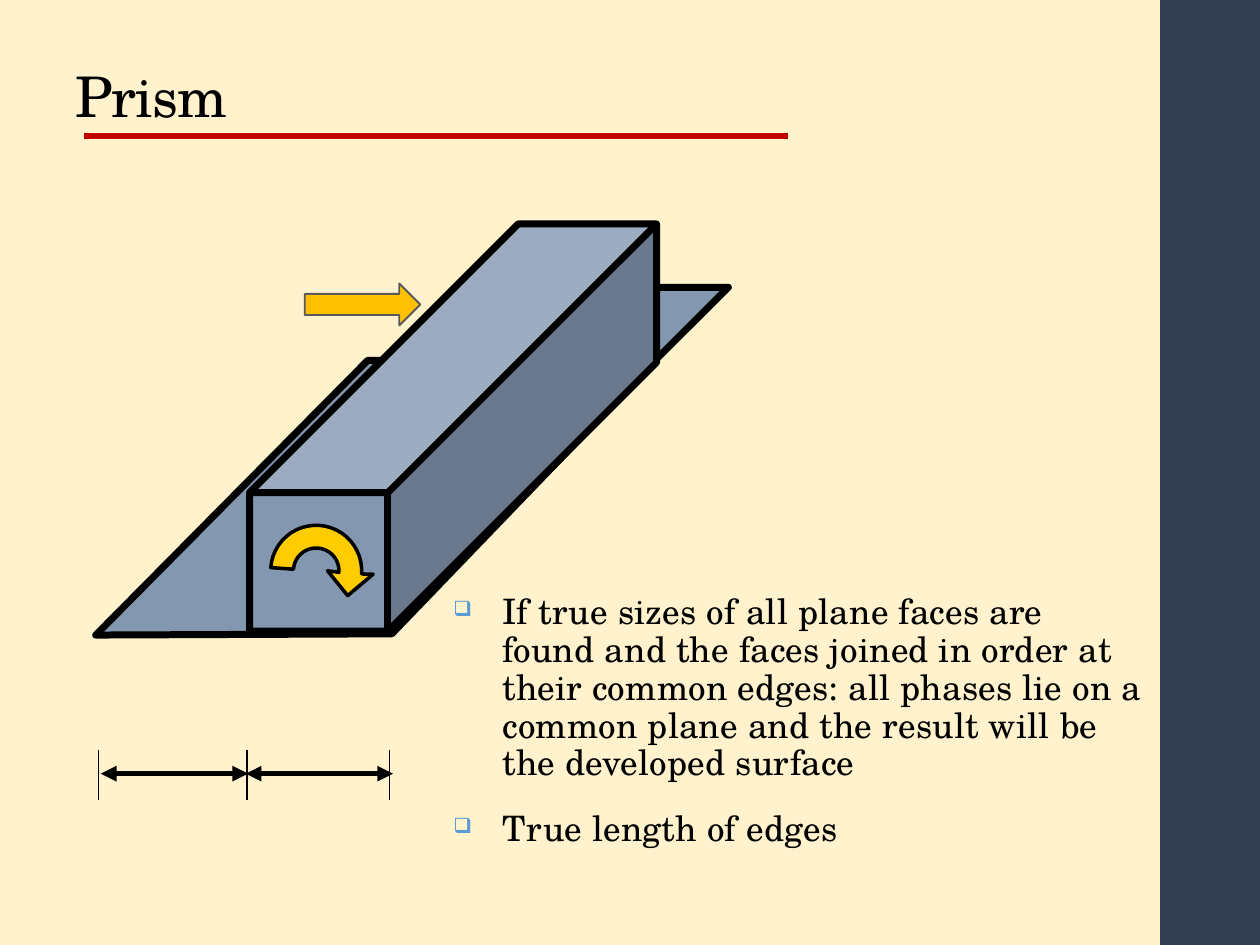
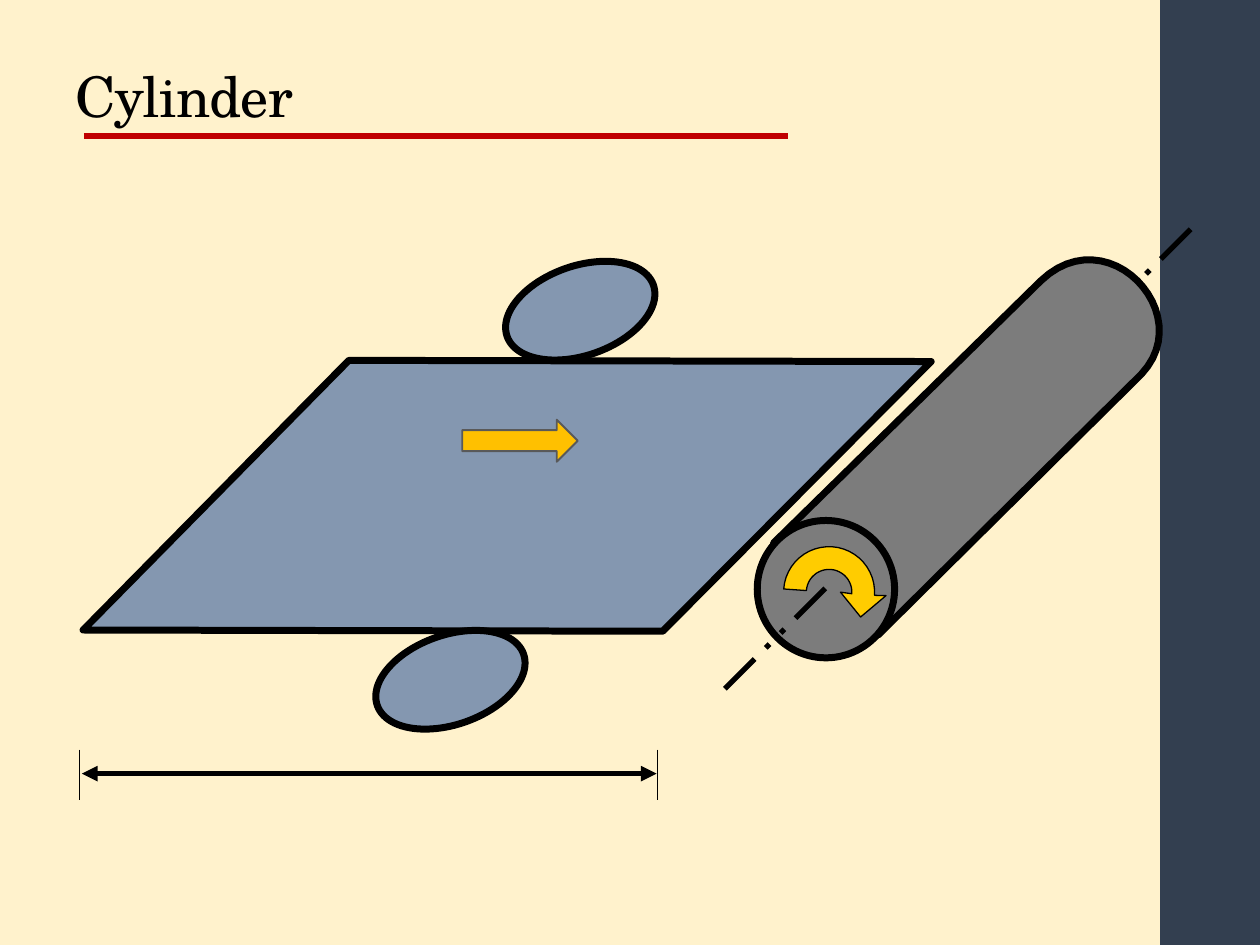
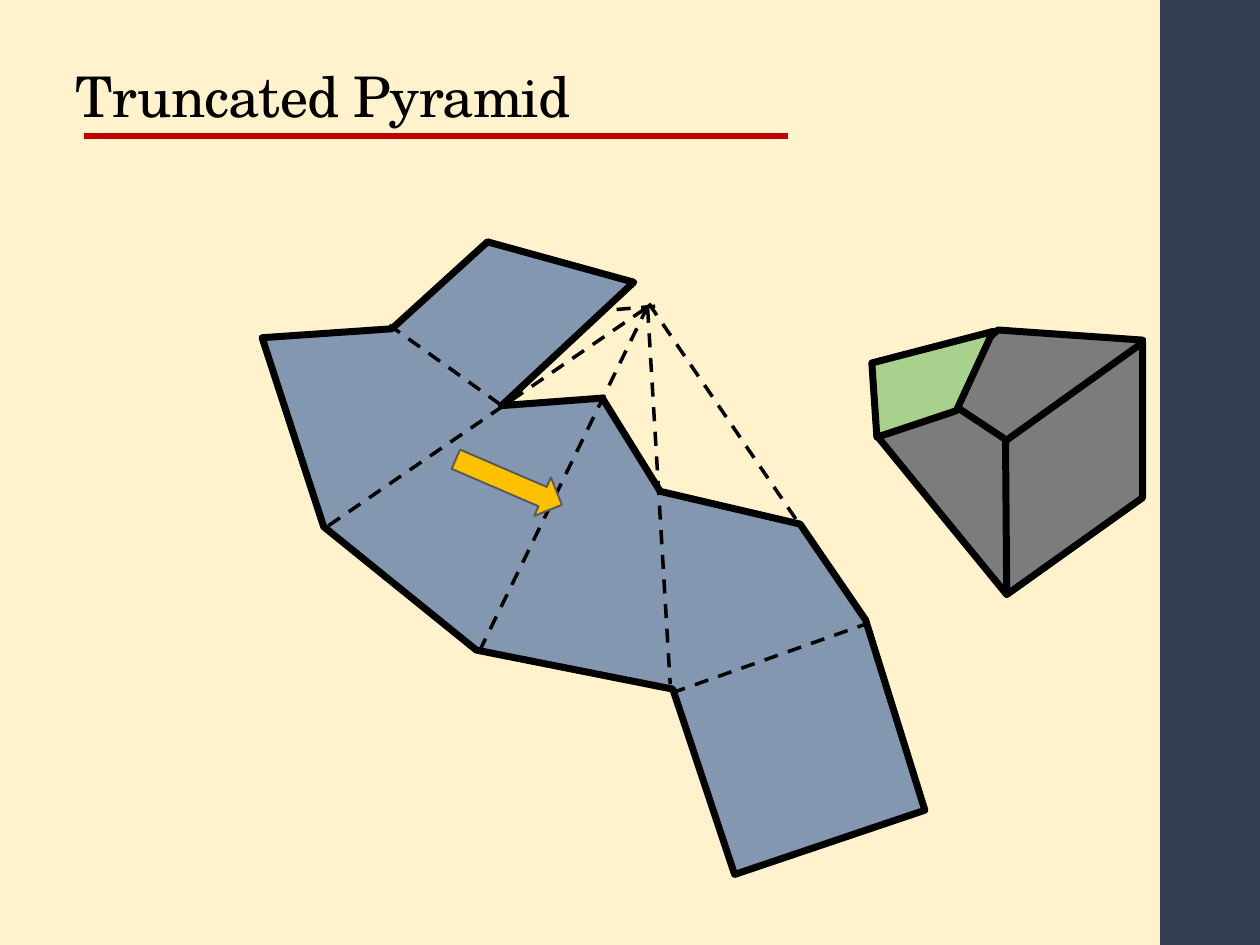
import math

import pptx
import pptx.dml.color
import pptx.enum.dml
import pptx.enum.shapes
import pptx.enum.text
import pptx.oxml
import pptx.oxml.ns
import pptx.util

Pt = pptx.util.Pt
RGBColor = pptx.dml.color.RGBColor
SHAPE = pptx.enum.shapes.MSO_SHAPE
DASH = pptx.enum.dml.MSO_LINE.DASH
AXIS_DASH = pptx.enum.dml.MSO_LINE.DASH_DOT_DOT

CREAM = RGBColor(0xFF, 0xF2, 0xCC)
NAVY = RGBColor(0x33, 0x3F, 0x50)
RED = RGBColor(0xC0, 0x00, 0x00)
BLACK = RGBColor(0x00, 0x00, 0x00)
STEEL = RGBColor(0x84, 0x97, 0xB0)
GREY = RGBColor(0x7C, 0x7C, 0x7C)
GREEN = RGBColor(0xA9, 0xD1, 0x8E)
YELLOW = RGBColor(0xFF, 0xCC, 0x00)
AMBER = RGBColor(0xFF, 0xC0, 0x00)
ARROW_EDGE = RGBColor(0x59, 0x59, 0x59)
BULLET_BLUE = "5B9BD5"

FONT = "TeX Gyre Schola"
PAGE_WIDTH, PAGE_HEIGHT = 720, 540
EDGE = 4          # outline weight of the solids and their nets
FINE = 100        # freeform units per point


# Drawing helpers

def paint(shape, fill, line=BLACK, weight=EDGE):
    shape.shadow.inherit = False
    shape.fill.solid()
    shape.fill.fore_color.rgb = fill
    if weight:
        shape.line.color.rgb = line
        shape.line.width = Pt(weight)
    else:
        shape.line.fill.background()
    return shape


def add_preset(page, kind, left, top, width, height, fill, **outline):
    shape = page.shapes.add_shape(kind, Pt(left), Pt(top), Pt(width), Pt(height))
    return paint(shape, fill, **outline)


def add_polygon(page, left, top, points, fill, weight=EDGE):
    corners = [(x * FINE, y * FINE) for x, y in points]
    builder = page.shapes.build_freeform(*corners[0], scale=Pt(1) / FINE)
    builder.add_line_segments(corners[1:], close=True)
    return paint(builder.convert_to_shape(Pt(left), Pt(top)), fill, weight=weight)


def add_line(page, left, top, start, end, weight, color=BLACK, dash=None, arrows=False):
    line = page.shapes.add_connector(
        pptx.enum.shapes.MSO_CONNECTOR.STRAIGHT,
        Pt(left + start[0]), Pt(top + start[1]), Pt(left + end[0]), Pt(top + end[1]))
    line.line.color.rgb = color
    line.line.width = Pt(weight)
    if dash:
        line.line.dash_style = dash
    properties = line._element.spPr
    if arrows:
        stroke = properties.find(pptx.oxml.ns.qn("a:ln"))
        for tag in ("a:headEnd", "a:tailEnd"):
            stroke.append(stroke.makeelement(pptx.oxml.ns.qn(tag), {"type": "triangle"}))
    properties.append(properties.makeelement(pptx.oxml.ns.qn("a:effectLst"), {}))


def arc(radius, start, end, steps=24):
    angles = [math.radians(start + (end - start) * i / steps) for i in range(steps + 1)]
    return [(radius * math.cos(a), radius * math.sin(a)) for a in angles]


def bezier(a, b, c, d, steps=24):
    curve = []
    for i in range(steps + 1):
        t = i / steps
        weights = ((1 - t) ** 3, 3 * t * (1 - t) ** 2, 3 * t * t * (1 - t), t ** 3)
        curve.append(tuple(sum(w * p[axis] for w, p in zip(weights, (a, b, c, d)))
                           for axis in (0, 1)))
    return curve


# Text helpers

def add_text_box(page, left, top, width, height):
    box = page.shapes.add_textbox(Pt(left), Pt(top), Pt(width), Pt(height))
    box.text_frame.word_wrap = True
    return box.text_frame


def fill_paragraph(para, text, size, tracking):
    para.line_spacing = 0.9
    para.font.name = FONT
    para.font.size = Pt(size)
    para.font.color.rgb = BLACK
    span = para.add_run()
    span.text = text
    span._r.get_or_add_rPr().set("spc", str(tracking))


def add_bullet(para):
    properties = para._p.get_or_add_pPr()
    properties.set("marL", str(Pt(28)))
    properties.set("indent", str(-Pt(28)))
    namespace = pptx.oxml.ns.nsdecls("a")
    for xml in (f'<a:buClr {namespace}><a:srgbClr val="{BULLET_BLUE}"/></a:buClr>',
                f'<a:buSzPct {namespace} val="60000"/>',
                f'<a:buChar {namespace} char="❑"/>'):
        properties.append(pptx.oxml.parse_xml(xml))


# Parts that recur on the slides

def add_page(deck, title):
    page = deck.slides.add_slide(deck.slide_layouts[6])
    page.background.fill.solid()
    page.background.fill.fore_color.rgb = CREAM
    add_preset(page, SHAPE.RECTANGLE, 663, 0, PAGE_WIDTH - 663, PAGE_HEIGHT, NAVY, weight=0)
    add_line(page, 48, 77.8, (0, 0), (402, 0), 3, RED)
    frame = add_text_box(page, 36, 5.8, 572, 72)
    frame.vertical_anchor = pptx.enum.text.MSO_ANCHOR.BOTTOM
    fill_paragraph(frame.paragraphs[0], title, 32, -50)
    return page


def add_roll_arrow(page, left, top, rotation=0):
    arrow = add_preset(page, SHAPE.RIGHT_ARROW, left, top, 66, 24, AMBER,
                       line=ARROW_EDGE, weight=1.1)
    arrow.rotation = rotation


def add_turn_arrow(page, center_x, center_y, weight):
    head = [(32.5, 2), (18, 14.2), (6.5, 0)]
    points = arc(13, 364, 184) + arc(26, 184, 364) + head
    add_polygon(page, center_x, center_y, points, YELLOW, weight)


def add_dimension(page, left, top, ticks, spans):
    height = 28.8
    for start, end in spans:
        add_line(page, left, top + 13.7, (start, 0), (end, 0), 3, arrows=True)
    for tick in ticks:
        add_line(page, left, top, (tick, 0), (tick, height), 0.75)


# Prism slide

def add_prism(page, left, top):
    net = [(277.2, 36.2), (362.2, 36.2), (319.7, 78.6), (169.9, 234.2),
           (0.7, 234.9), (156.2, 77.9), (236.9, 78.6)]
    add_polygon(page, left, top, net, STEEL)
    add_line(page, left, top, (87.1, 232.7), (235.4, 81.5), 2, dash=DASH)
    prism = add_preset(page, SHAPE.CUBE, left + 88.6, top, 232.6, 232.6, STEEL)
    prism.adjustments[0] = 0.66
    add_turn_arrow(page, left + 126.7, top + 198.2, 2)
    add_roll_arrow(page, left + 120.2, top + 34)


def add_notes_list(page, left, top, width, height, items):
    frame = add_text_box(page, left, top, width, height)
    frame.auto_size = pptx.enum.text.MSO_AUTO_SIZE.SHAPE_TO_FIT_TEXT
    for index, item in enumerate(items):
        para = frame.add_paragraph() if index else frame.paragraphs[0]
        add_bullet(para)
        para.space_before = Pt(14 if index else 0)
        para.space_after = Pt(2)
        fill_paragraph(para, item, 20, 10)


# Cylinder slide

def add_roller(page, left, top):
    add_line(page, left, top, (269.4, 7), (208.9, 67.5), 3, dash=AXIS_DASH)
    far_end = bezier((183.7, 36.6), (221.9, -0.2), (273.7, 55.3), (241.3, 89.8))
    add_polygon(page, left, top, [(31.1, 186.3)] + far_end + [(90.8, 238.9)], GREY)
    add_preset(page, SHAPE.OVAL, left + 21.7, top + 173.4, 78.5, 78.5, GREY)
    add_turn_arrow(page, left + 62.8, top + 214.4, 0.75)
    add_line(page, left, top, (60.6, 212.2), (0.1, 272.7), 3, dash=AXIS_DASH)


def add_unrolled_sheet(page, left, top):
    for x, y in ((216.5, 203), (257.6, 49.6)):
        add_preset(page, SHAPE.RECTANGLE, left + x, top + y, 15, 12, STEEL, weight=0)
    sheet = [(485.1, 54.6), (331.7, 208.7), (0.5, 208), (152.4, 53.9)]
    add_polygon(page, left, top, sheet, STEEL)
    for x, y in ((166.1, 210.9), (240.3, 0)):
        end_cap = add_preset(page, SHAPE.OVAL, left + x, top + y, 88.6, 51.1, STEEL)
        end_cap.rotation = 340.7
    add_roll_arrow(page, left + 217.2, top + 87.8)


# Truncated pyramid slide

def add_cut_solid(page, left, top):
    body = [(155, 6.4), (72.2, 0.6), (3.1, 61.1), (77.3, 151.8)]
    cut_face = [(3.1, 61.8), (48.5, 46.7), (69.4, 1.4), (0.2, 19.4)]
    right_face = [(155, 7.8), (76.6, 64), (77.3, 151.8), (155, 96.4)]
    add_polygon(page, left, top, body, GREY)
    add_line(page, left, top, (75.8, 62.6), (33.4, 34.5), EDGE)
    add_polygon(page, left, top, cut_face, GREEN)
    add_polygon(page, left, top, right_face, GREY)


def add_pyramid_net(page, left, top):
    net = [(36, 163), (0.8, 55), (74.9, 49.9), (129.6, 0.2), (213.2, 23.3),
           (137.6, 93.8), (195.2, 89.5), (228.3, 142.8), (308.2, 161.5),
           (345.6, 216.2), (379.5, 325), (270.8, 361.7), (235.5, 255.8), (123.2, 233.5)]
    folds = [((219.6, 38.4), (36.8, 163.7)), ((221.1, 37), (125.3, 233.5)),
             ((221.1, 38.4), (234, 253)), ((221.8, 35.5), (345.6, 217)),
             ((136.8, 93.1), (73.5, 47.8)), ((234.8, 258), (346.4, 218.4))]
    add_line(page, left, top, (225.4, 37), (3.6, 55.7), 2, dash=DASH)
    add_polygon(page, left, top, net, STEEL)
    for start, end in folds:
        add_line(page, left, top, start, end, 2, dash=DASH)
    add_roll_arrow(page, left + 108.8, top + 125.5, 23.3)


def main():
    deck = pptx.Presentation()
    deck.slide_width, deck.slide_height = Pt(PAGE_WIDTH), Pt(PAGE_HEIGHT)

    page = add_page(deck, "Prism")
    add_prism(page, 54, 128)
    add_dimension(page, 56.2, 428.4, (0, 85, 166.3), ((1.4, 85.6), (84.2, 168.4)))
    add_notes_list(page, 252, 336.2, 408, 154, [
        "If true sizes of all plane faces are found and the faces joined in order at "
        "their common edges: all phases lie on a common plane and the result will be "
        "the developed surface",
        "True length of edges"])

    page = add_page(deck, "Cylinder")
    add_roller(page, 411, 124)
    add_unrolled_sheet(page, 47, 152)
    add_dimension(page, 45.4, 428.4, (0, 330.5), ((1.4, 329.8),))

    page = add_page(deck, "Truncated Pyramid")
    add_cut_solid(page, 498, 188)
    add_pyramid_net(page, 149, 138)

    deck.save("out.pptx")


if __name__ == "__main__":
    main()
